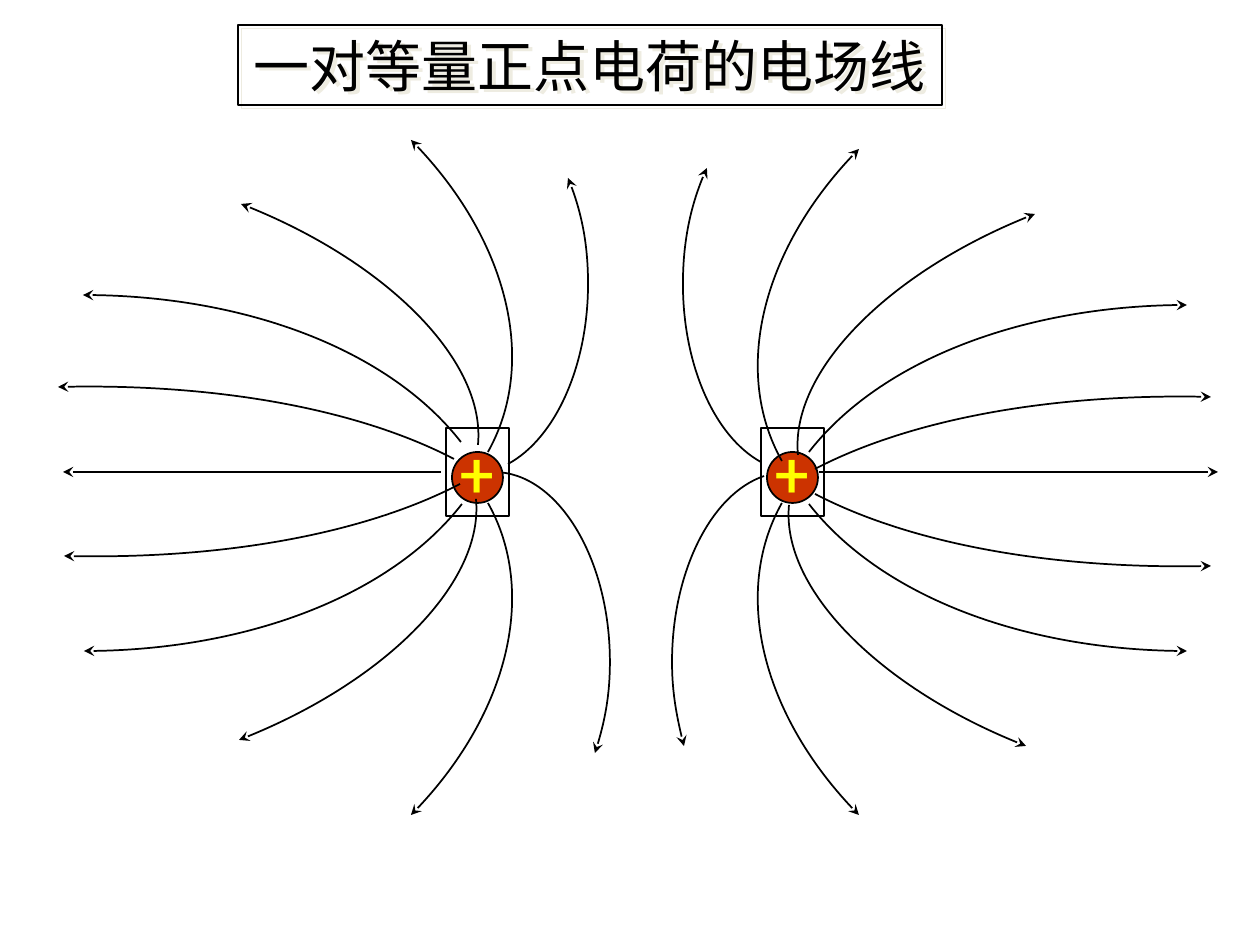
from lxml import etree
from pptx import Presentation
from pptx import util as u
from pptx.dml.color import RGBColor
from pptx.enum import shapes, text
from pptx.oxml.ns import qn

SCALE = 914400 / 126
BLACK = RGBColor(0x00, 0x00, 0x00)
RED = RGBColor(0xCC, 0x33, 0x00)
YELLOW = RGBColor(0xFF, 0xFF, 0x00)
SHADOW = RGBColor(0xEE, 0xEC, 0xE1)
FONT = "Roboto Slab"

INNER_LINES = [
    [(508, 464), (556, 438), (588, 365), (588, 284), (588, 246), (581, 209), (568, 178)],
    [(764, 476), (711, 494), (672, 572), (672, 662), (672, 690), (677, 719), (684, 746)],
    [(494, 472), (557, 472), (610, 557), (610, 662), (610, 694), (604, 726), (595, 753)],
    [(761, 462), (714, 436), (683, 364), (683, 284), (683, 242), (692, 200), (707, 168)],
]
QUADRANTS = [(1, 1), (-1, 1), (1, -1), (-1, -1)]
OUTER_LINES = [
    ([(-50, -89), (-19, -215), (77, -312)],
     [(782, 461), (488, 452), (782, 503), (488, 503)]),
    ([(-8, -83), (93, -185), (237, -241)],
     [(798, 455), (478, 445), (789, 505), (476, 499)]),
    ([(71, -91), (217, -147), (378, -147)],
     [(809, 452), (461, 442), (809, 504), (462, 504)]),
    ([(94, -49), (238, -76), (396, -72)],
     [(815, 469), (454, 459), (815, 494), (460, 484)]),
]


def px(value):
    return u.Emu(round(value * SCALE))


def set_line(shape, width, arrow=False):
    shape.line.color.rgb = BLACK
    shape.line.width = u.Pt(width)
    if arrow:
        outline = shape.element.spPr.find(qn("a:ln"))
        etree.SubElement(outline, qn("a:tailEnd"), type="stealth")


def add_label(page, words, left, top, width, height, size, color):
    box = page.shapes.add_textbox(px(left), px(top), px(width), px(height))
    set_line(box, 0.75)
    frame = box.text_frame
    frame.word_wrap = False
    frame.auto_size = text.MSO_AUTO_SIZE.SHAPE_TO_FIT_TEXT
    para = frame.paragraphs[0]
    para.alignment = text.PP_ALIGN.CENTER
    span = para.add_run()
    span.text = words
    span.font.name = FONT
    span.font.size = u.Pt(size)
    span.font.color.rgb = color
    return box


def add_shadow(box):
    effects = etree.SubElement(box.element.spPr, qn("a:effectLst"))
    shadow = etree.SubElement(effects, qn("a:outerShdw"), dist="35921",
                              dir="2700000", algn="ctr", rotWithShape="0")
    etree.SubElement(shadow, qn("a:srgbClr"), val=str(SHADOW))


def add_curve(page, points):
    builder = page.shapes.build_freeform(*points[0], scale=SCALE)
    builder.add_line_segments(points[1:], close=False)
    curve = builder.convert_to_shape()
    for outline in curve.element.iter(qn("a:path")):
        corners = outline.findall(qn("a:lnTo"))
        for first in range(0, len(corners), 3):
            bezier = etree.SubElement(outline, qn("a:cubicBezTo"))
            for corner in corners[first:first + 3]:
                bezier.append(corner[0])
                outline.remove(corner)
    curve.fill.background()
    curve.shadow.inherit = False
    set_line(curve, 1, arrow=True)


def add_straight(page, start, end, height):
    line = page.shapes.add_connector(
        shapes.MSO_CONNECTOR.STRAIGHT, px(start), px(height), px(end), px(height))
    set_line(line, 1, arrow=True)
    etree.SubElement(line.element.spPr, qn("a:effectLst"))


def add_charge(page, left):
    disc = page.shapes.add_shape(
        shapes.MSO_SHAPE.OVAL, px(left), px(452), px(51), px(51))
    disc.shadow.inherit = False
    disc.fill.solid()
    disc.fill.fore_color.rgb = RED
    set_line(disc, 1)
    add_label(page, "+", left - 6, 428, 63, 88, 36, YELLOW)


def main():
    deck = Presentation()
    deck.slide_width, deck.slide_height = px(1260), px(945)
    page = deck.slides.add_slide(deck.slide_layouts[6])
    title = add_label(page, "一对等量正点电荷的电场线", 238, 25, 704, 80, 32, BLACK)
    add_shadow(title)
    for points in INNER_LINES:
        add_curve(page, points)
    for left in (452, 767):
        add_charge(page, left)
    for offsets, starts in OUTER_LINES:
        for (x, y), (across, down) in zip(starts, QUADRANTS):
            add_curve(page, [(x, y)] + [(x + across * dx, y + down * dy)
                                        for dx, dy in offsets])
    add_straight(page, 819, 1218, 472)
    add_straight(page, 441, 63, 472)
    deck.save("out.pptx")


if __name__ == "__main__":
    main()
